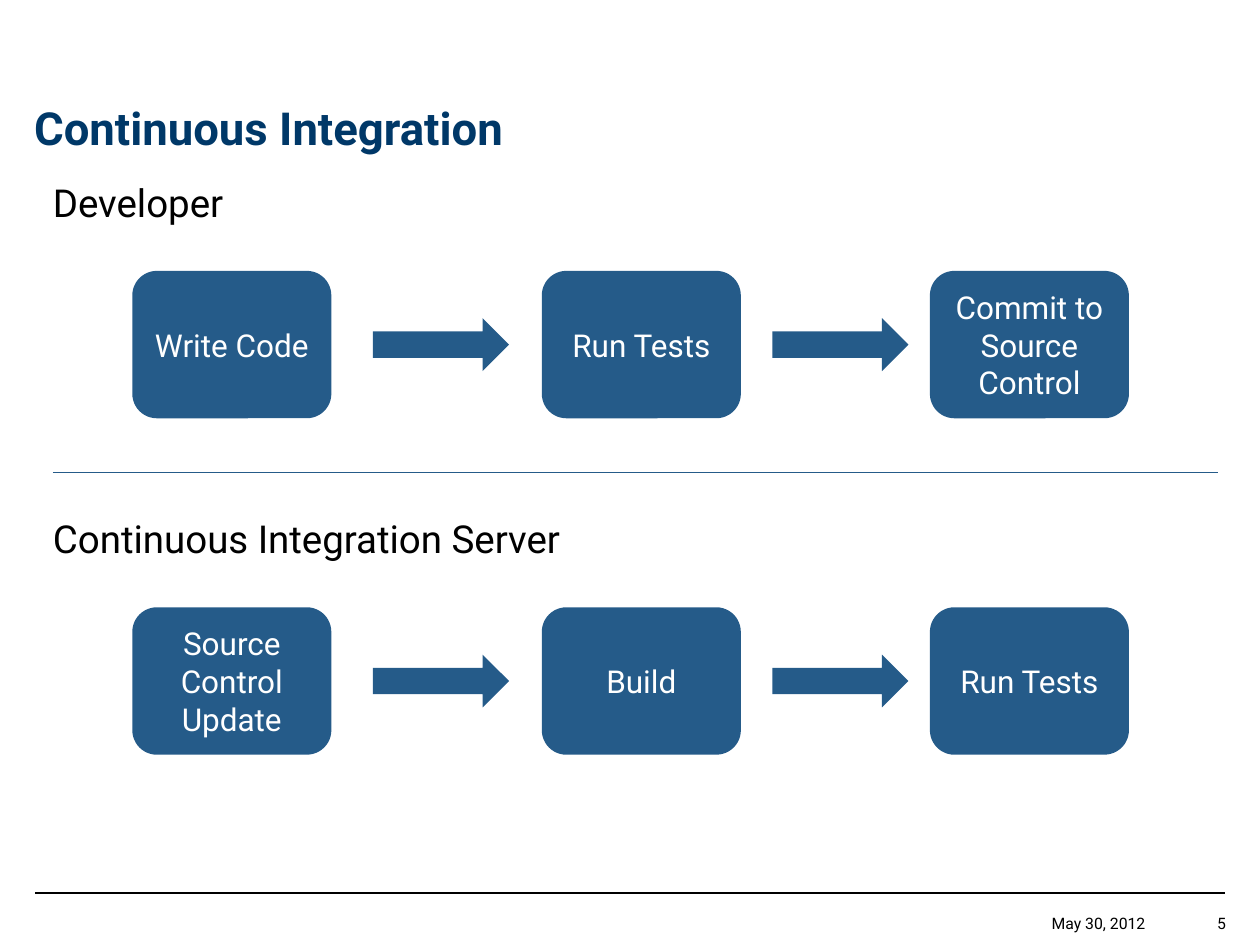
from dataclasses import dataclass

from lxml import etree
from pptx import Presentation
from pptx.dml.color import RGBColor
from pptx.enum.shapes import MSO_CONNECTOR, MSO_SHAPE
from pptx.enum.text import MSO_ANCHOR, MSO_AUTO_SIZE, PP_ALIGN
from pptx.oxml.ns import qn
from pptx.util import Inches, Pt

LEFT, CENTER, RIGHT = PP_ALIGN.LEFT, PP_ALIGN.CENTER, PP_ALIGN.RIGHT
TOP, MIDDLE, BOTTOM = MSO_ANCHOR.TOP, MSO_ANCHOR.MIDDLE, MSO_ANCHOR.BOTTOM
STEP_SHAPE, ARROW_SHAPE = MSO_SHAPE.ROUNDED_RECTANGLE, MSO_SHAPE.RIGHT_ARROW


@dataclass(frozen=True)
class Theme:
    font: str = "Roboto"
    navy: str = "003868"
    blue: str = "255B89"
    black: str = "000000"
    white: str = "FFFFFF"
    title: int = 26
    heading: int = 22
    step: int = 18
    footer: int = 9


@dataclass(frozen=True)
class Lane:
    heading: str
    heading_width: float
    steps: tuple[str, ...]


THEME = Theme()
SLIDE_WIDTH, SLIDE_HEIGHT = 10, 7.5
MARGIN = 0.42
LANE_TOP, LANE_PITCH = 1.42, 2.67
STEP_OFFSET, STEP_SIZE = 0.73, (1.58, 1.17)
ARROW_SIZE = (1.08, 0.42)
STEP_COLUMNS = (1.05, 4.3, 7.38)
ARROW_COLUMNS = (2.96, 6.13)
LANES = (
    Lane("Developer", 2.33,
         ("Write Code", "Run Tests", "Commit to Source Control")),
    Lane("Continuous Integration Server", 4.42,
         ("Source Control\nUpdate", "Build", "Run Tests")),
)


def write(shape, text: str, *, size: int, color: str, bold: bool = False,
          align=LEFT, anchor=TOP, inset: float | None = 0) -> None:
    """Fill a shape with text; an inset of None keeps the usual margins."""
    frame = shape.text_frame
    frame.text = text
    frame.word_wrap = True
    frame.auto_size = MSO_AUTO_SIZE.NONE
    frame.vertical_anchor = anchor
    if inset is not None:
        frame.margin_left = frame.margin_right = Inches(inset)
        frame.margin_top = frame.margin_bottom = Inches(inset)
    for paragraph in frame.paragraphs:
        paragraph.alignment = align
        for run in paragraph.runs:
            run.font.name = THEME.font
            run.font.size = Pt(size)
            run.font.bold = bold
            run.font.color.rgb = RGBColor.from_string(color)


def add_label(slide, text: str, left: float, top: float, width: float,
              height: float, **text_format) -> None:
    label = slide.shapes.add_textbox(*map(Inches, (left, top, width, height)))
    write(label, text, **text_format)


def add_block(slide, kind, left: float, top: float, size: tuple[float, float]):
    block = slide.shapes.add_shape(kind, *map(Inches, (left, top, *size)))
    block.shadow.inherit = False
    block.fill.solid()
    block.fill.fore_color.rgb = RGBColor.from_string(THEME.blue)
    block.line.fill.background()
    return block


def add_rule(slide, left: float, right: float, y: float, color: str,
             weight: float) -> None:
    rule = slide.shapes.add_connector(
        MSO_CONNECTOR.STRAIGHT, *map(Inches, (left, y, right, y)))
    rule.line.color.rgb = RGBColor.from_string(color)
    rule.line.width = Pt(weight)
    etree.SubElement(rule._element.spPr, qn("a:effectLst"))


def add_lane(slide, lane: Lane, top: float) -> None:
    add_label(slide, lane.heading, MARGIN, top, lane.heading_width, 0.37,
              size=THEME.heading, color=THEME.black)
    step_top = top + STEP_OFFSET
    for left, text in zip(STEP_COLUMNS, lane.steps):
        step = add_block(slide, STEP_SHAPE, left, step_top, STEP_SIZE)
        write(step, text, size=THEME.step, color=THEME.white, align=CENTER,
              anchor=MIDDLE, inset=None)
    arrow_top = step_top + (STEP_SIZE[1] - ARROW_SIZE[1]) / 2
    for left in ARROW_COLUMNS:
        add_block(slide, ARROW_SHAPE, left, arrow_top, ARROW_SIZE)


def add_footer(slide) -> None:
    add_rule(slide, 0.28, SLIDE_WIDTH - 0.28, 7.09, THEME.black, 1)
    for text, left, width in (("May 30, 2012", 6.73, 2.36), ("5", 9.14, 0.59)):
        add_label(slide, text, left, 7.2, width, 0.2, size=THEME.footer,
                  color=THEME.black, align=RIGHT, anchor=BOTTOM)


def main() -> None:
    deck = Presentation()
    deck.slide_width, deck.slide_height = Inches(SLIDE_WIDTH), Inches(SLIDE_HEIGHT)
    slide = deck.slides.add_slide(deck.slide_layouts.get_by_name("Title Only"))

    title = slide.shapes.title
    title.left, title.top = Inches(0.27), Inches(0.44)
    title.width, title.height = Inches(9.45), Inches(0.79)
    write(title, "Continuous Integration", size=THEME.title, color=THEME.navy,
          bold=True, anchor=BOTTOM)

    add_footer(slide)
    for row, lane in enumerate(LANES):
        add_lane(slide, lane, LANE_TOP + row * LANE_PITCH)
    add_rule(slide, MARGIN, 9.67, SLIDE_HEIGHT / 2, THEME.blue, 0.75)
    deck.save("out.pptx")


if __name__ == "__main__":
    main()
